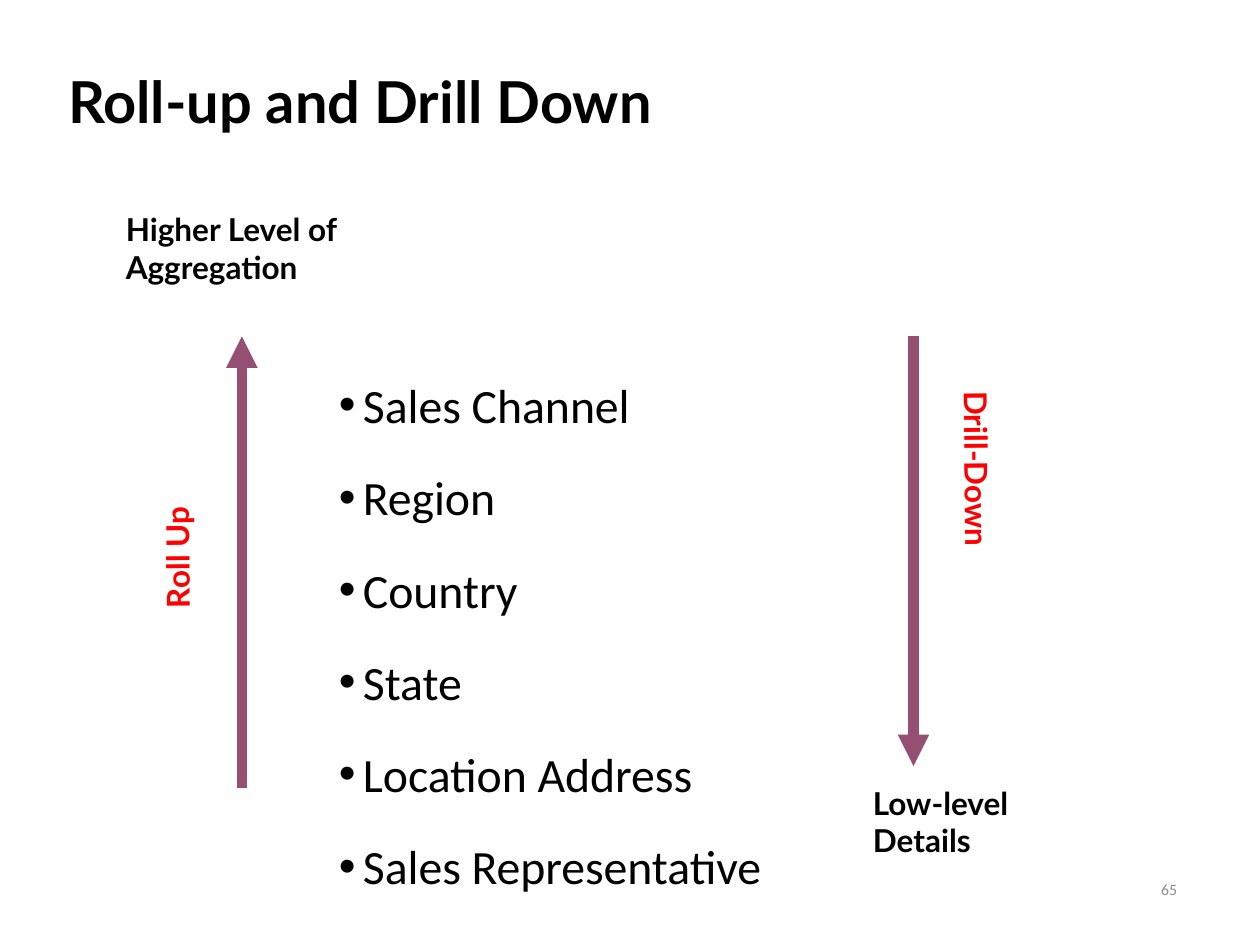
"""Build the roll-up and drill-down slide."""
from dataclasses import dataclass

from lxml import etree
from pptx import Presentation
from pptx import util as u
from pptx.dml.color import RGBColor
from pptx.enum import shapes, text
from pptx.oxml import ns

COLORS = {"ink": "000000", "accent": "FF0000", "arrow": "954F72", "number": "8C8C8C"}
LEVELS = ["Sales Channel", "Region", "Country", "State", "Location Address",
          "Sales Representative"]


@dataclass
class Label:
    lines: str
    left: float
    top: float
    width: float
    height: float
    color: str = "ink"
    rotation: float = 0
    size: float = 18
    font: str = "Lato"
    bold: bool = True
    align: text.PP_ALIGN = text.PP_ALIGN.LEFT
    anchor: text.MSO_ANCHOR = text.MSO_ANCHOR.TOP


@dataclass
class Arrow:
    x: float
    start: float
    end: float


LABELS = [
    Label("Roll Up", 0.85, 4.17, 1.11, 0.4, "accent", 269.5),
    Label("Higher Level of\nAggregation", 0.9, 1.62, 2.12, 0.71),
    Label("Low-level\nDetails", 6.83, 6.17, 1.43, 0.71),
    Label("Drill-Down", 6.97, 3.59, 1.57, 0.4, "accent", 89.5),
    Label("65", 7.36, 6.81, 2.08, 0.5, "number", size=9, font="Calibri", bold=False,
          align=text.PP_ALIGN.RIGHT, anchor=text.MSO_ANCHOR.MIDDLE),
]
ARROWS = [Arrow(1.92, 6.25, 2.67), Arrow(7.25, 2.67, 6.08)]


def place(shape, left: float, top: float, width: float, height: float) -> None:
    """Set the position and size of a shape in inches."""
    shape.left, shape.top = u.Inches(left), u.Inches(top)
    shape.width, shape.height = u.Inches(width), u.Inches(height)


def style(font, name: str, size: float, color: str, bold: bool = False) -> None:
    """Set the typeface, size, colour and weight of a font."""
    font.name, font.size, font.bold = name, u.Pt(size), bold
    font.color.rgb = RGBColor.from_string(COLORS[color])


def fill_title(title) -> None:
    """Write the slide title."""
    place(title, 0.44, 0.25, 8.5, 1.17)
    frame = title.text_frame
    frame.text = "Roll-up and Drill Down"
    frame.auto_size = text.MSO_AUTO_SIZE.NONE
    frame.vertical_anchor = text.MSO_ANCHOR.MIDDLE
    para = frame.paragraphs[0]
    para.alignment, para.line_spacing = text.PP_ALIGN.LEFT, 0.9
    style(para.runs[0].font, "Lato", 33, "ink", True)


def fill_levels(body) -> None:
    """Write the bulleted list of aggregation levels."""
    place(body, 2.59, 2.76, 3.98, 4.31)
    frame = body.text_frame
    frame.text = "\n".join(LEVELS)
    frame.auto_size = text.MSO_AUTO_SIZE.NONE
    indent = u.Inches(0.19)
    for index, para in enumerate(frame.paragraphs):
        para.alignment, para.line_spacing = text.PP_ALIGN.JUSTIFY, 1.38
        para.space_before = u.Pt(7.5 if index else 0)
        props = para._p.get_or_add_pPr()
        props.set("marL", str(indent))
        props.set("indent", str(-indent))
        etree.SubElement(props, ns.qn("a:buFont"), typeface="Arial")
        etree.SubElement(props, ns.qn("a:buChar"), char="•")
        style(para.runs[0].font, "Calibri", 27.3, "ink")


def add_label(page, label: Label) -> None:
    """Add one text label, rotated where required."""
    box = page.shapes.add_textbox(0, 0, 0, 0)
    place(box, label.left, label.top, label.width, label.height)
    box.rotation = label.rotation
    frame = box.text_frame
    frame.text = label.lines
    frame.word_wrap = True
    frame.vertical_anchor = label.anchor
    for para in frame.paragraphs:
        para.alignment = label.align
        style(para.runs[0].font, label.font, label.size, label.color, label.bold)


def add_arrow(page, arrow: Arrow) -> None:
    """Add one vertical arrow with its head at the end."""
    x = u.Inches(arrow.x)
    line = page.shapes.add_connector(shapes.MSO_CONNECTOR.STRAIGHT, x,
                                     u.Inches(arrow.start), x, u.Inches(arrow.end))
    line.line.width = u.Pt(6)
    line.line.color.rgb = RGBColor.from_string(COLORS["arrow"])
    etree.SubElement(line.line._get_or_add_ln(), ns.qn("a:tailEnd"), type="triangle")
    etree.SubElement(line._element.spPr, ns.qn("a:effectLst"))


def main() -> None:
    """Build and save the deck."""
    deck = Presentation()
    deck.slide_width, deck.slide_height = u.Inches(10), u.Inches(7.5)
    page = deck.slides.add_slide(deck.slide_layouts[1])
    fill_title(page.shapes.title)
    fill_levels(page.placeholders[1])
    for arrow in ARROWS:
        add_arrow(page, arrow)
    for label in LABELS:
        add_label(page, label)
    deck.save("out.pptx")


if __name__ == "__main__":
    main()
